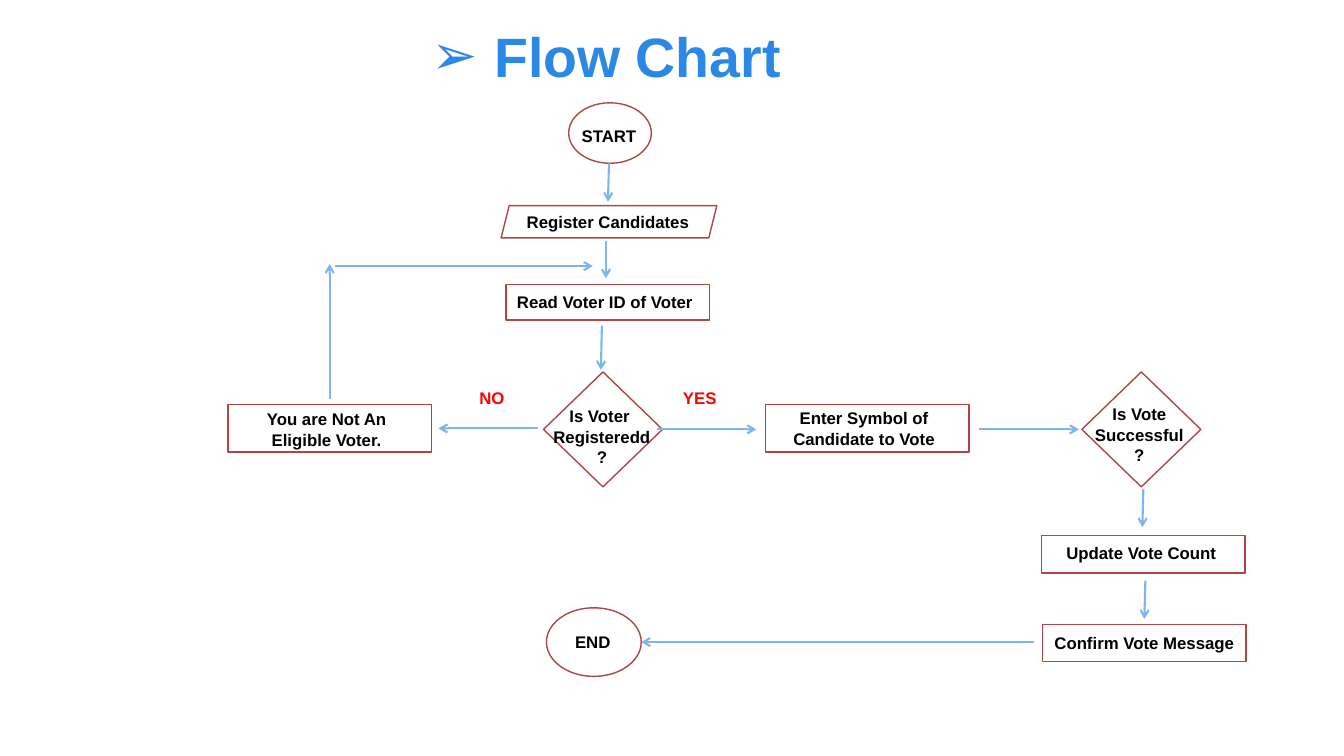
from lxml import etree
from pptx import Presentation
from pptx import util as u
from pptx.dml.color import RGBColor
from pptx.enum import shapes, text
from pptx.oxml import ns

presentation = Presentation()
presentation.slide_width = u.Inches(13.33)
presentation.slide_height = u.Inches(7.5)
slide = presentation.slides.add_slide(presentation.slide_layouts[5])

# Grid: cells of one inch, with four columns and one main row of the flow
CELL = u.Inches(1)
LEFT, MIDDLE, ENTRY, RIGHT = 3.27, 6.03, 8.6, 11.33
DECISION_ROW = 4.25
BOX_WIDTH = 2.02
LABEL_WIDTH = 1.96


def color(hex_string):
    return RGBColor.from_string(hex_string)


def add_label(parent, center_x, center_y, width, lines, words, hex_string):
    """Add a centred bold label, one paragraph per entry of words."""
    height = 0.1 + 0.2 * lines
    label = parent.add_textbox(
        int((center_x - width / 2) * CELL), int((center_y - height / 2) * CELL),
        int(width * CELL), int(height * CELL))
    frame = label.text_frame
    frame.word_wrap = True
    frame.auto_size = text.MSO_AUTO_SIZE.SHAPE_TO_FIT_TEXT
    for index, line in enumerate(words):
        paragraph = frame.paragraphs[0] if index == 0 else frame.add_paragraph()
        paragraph.alignment = text.PP_ALIGN.CENTER
        run = paragraph.add_run()
        run.text = line
        run.font.name = "Arial"
        run.font.size = u.Pt(12)
        run.font.bold = True
        run.font.color.rgb = color(hex_string)


# Title with an arrowhead bullet
title = slide.shapes.title
title.left, title.top = int(3.3 * CELL), int(0.23 * CELL)
title.width, title.height = int(5.43 * CELL), int(0.64 * CELL)
title.text_frame.auto_size = text.MSO_AUTO_SIZE.NONE
title.text_frame.vertical_anchor = text.MSO_ANCHOR.MIDDLE
paragraph = title.text_frame.paragraphs[0]
paragraph.alignment = text.PP_ALIGN.CENTER
run = paragraph.add_run()
run.text = "Flow Chart"
run.font.name = "Arial"
run.font.size = u.Pt(39.6)
run.font.bold = True
run.font.color.rgb = color("2C88E5")
properties = paragraph._p.get_or_add_pPr()
properties.set("marL", str(int(0.62 * CELL)))
properties.set("indent", str(int(-0.62 * CELL)))
etree.SubElement(properties, ns.qn("a:buFont")).set("typeface", "Arial")
etree.SubElement(properties, ns.qn("a:buChar")).set("char", "➢")

# Steps: outline, centre, size, label centre, label width, label lines, words
KIND = shapes.MSO_SHAPE
steps = [
    (KIND.OVAL, MIDDLE + 0.02, 1.32, 0.82, 0.6,
     MIDDLE + 0.01, 1.35, 0.84, 1, ["START"]),
    (KIND.PARALLELOGRAM, MIDDLE + 0.01, 2.2, 2.14, 0.32,
     MIDDLE, 2.2, 2.07, 1, ["Register Candidates"]),
    (KIND.RECTANGLE, MIDDLE, 3, BOX_WIDTH, 0.35,
     MIDDLE - 0.03, 3, LABEL_WIDTH, 1, ["Read Voter ID of Voter"]),
    (KIND.DIAMOND, MIDDLE - 0.05, DECISION_ROW + 0.01, 1.18, 1.14,
     MIDDLE - 0.06, 4.33, 1.25, 3, ["Is Voter ", "Registeredd", "?"]),
    (KIND.RECTANGLE, ENTRY, DECISION_ROW, BOX_WIDTH, 0.47,
     ENTRY - 0.03, DECISION_ROW, LABEL_WIDTH, 2,
     ["Enter Symbol of Candidate to Vote"]),
    (KIND.DIAMOND, RIGHT - 0.01, DECISION_ROW + 0.01, 1.18, 1.14,
     RIGHT - 0.03, 4.31, 1.25, 3, ["Is Vote Successful", "?"]),
    (KIND.RECTANGLE, RIGHT + 0.01, 5.5, BOX_WIDTH, 0.37,
     RIGHT - 0.01, 5.49, LABEL_WIDTH, 1, ["Update Vote Count"]),
    (KIND.RECTANGLE, RIGHT + 0.02, 6.38, BOX_WIDTH, 0.37,
     RIGHT + 0.02, 6.38, 2.01, 1, ["Confirm Vote Message"]),
    (KIND.OVAL, MIDDLE - 0.14, 6.37, 0.94, 0.68,
     MIDDLE - 0.15, 6.37, 0.97, 1, ["END"]),
    (KIND.RECTANGLE, LEFT, DECISION_ROW, BOX_WIDTH, 0.47,
     LEFT - 0.03, DECISION_ROW + 0.01, LABEL_WIDTH, 2,
     ["You are Not An Eligible Voter."]),
]
for kind, center_x, center_y, width, height, *label in steps:
    step = slide.shapes.add_group_shape()
    shape = step.shapes.add_shape(
        kind, int((center_x - width / 2) * CELL), int((center_y - height / 2) * CELL),
        int(width * CELL), int(height * CELL))
    shape.shadow.inherit = False
    shape.fill.solid()
    shape.fill.fore_color.rgb = color("FFFFFF")
    shape.line.color.rgb = color("AC4744")
    shape.line.width = u.Pt(1)
    add_label(step.shapes, *label, "000000")

# Arrows: start x, start y, end x, end y
arrows = [
    (6.04, 1.62, 6.03, 2),
    (6.01, 2.39, 6.01, 2.76),
    (5.97, 3.23, 5.96, 3.67),
    (6.52, 4.26, 7.5, 4.26),
    (9.71, 4.26, 10.7, 4.26),
    (11.34, 4.85, 11.33, 5.23),
    (11.36, 5.76, 11.35, 6.14),
    (10.26, 6.37, 6.36, 6.37),
    (5.34, DECISION_ROW, 4.35, DECISION_ROW),
    (LEFT, 3.96, LEFT, 2.62),
    (3.32, 2.64, 5.88, 2.64),
]
for points in arrows:
    arrow = slide.shapes.add_connector(
        shapes.MSO_CONNECTOR.STRAIGHT, *(int(point * CELL) for point in points))
    arrow.line.color.rgb = color("7DB6EF")
    arrow.line.width = u.Pt(1.5)
    etree.SubElement(arrow.line._get_or_add_ln(), ns.qn("a:tailEnd")).set("type", "arrow")
    etree.SubElement(arrow._element.spPr, ns.qn("a:effectLst"))

# Answers beside the first decision
for answer, center_x in (("YES", 6.94), ("NO", 4.88)):
    add_label(slide.shapes, center_x, 3.95, 0.84, 1, [answer], "FF0000")

presentation.save("out.pptx")
